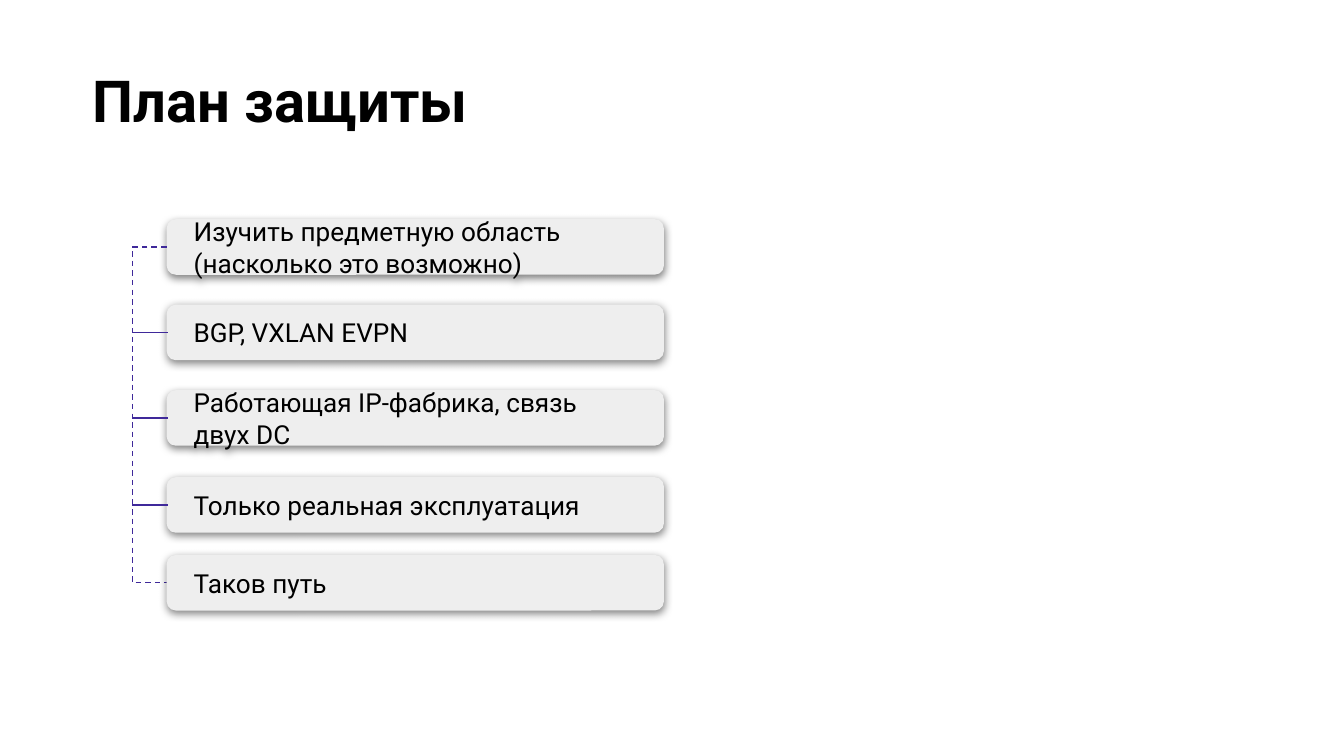
from dataclasses import dataclass
from itertools import pairwise

from lxml import etree
from pptx import Presentation
from pptx.dml.color import RGBColor
from pptx.enum import dml, shapes, text
from pptx.oxml import ns
from pptx.util import Pt

FONT = "Roboto"
BLACK = "000000"
CARD_FILL = "EEEEEE"
LINK_COLOR = "3F299A"
CARD_LEFT, CARD_WIDTH, CARD_HEIGHT = 89.3, 266.4, 29.8
LINK_WIDTH, LINK_REACH = 0.75, 18.75


@dataclass(frozen=True)
class Step:
    top: float
    label: str

    @property
    def middle(self) -> float:
        return self.top + CARD_HEIGHT / 2


STEPS = [
    Step(117.4, "Изучить предметную область (насколько это возможно)"),
    Step(163.2, "BGP, VXLAN EVPN"),
    Step(209, "Работающая IP-фабрика, связь двух DC"),
    Step(255.6, "Только реальная эксплуатация"),
    Step(297.3, "Таков путь"),
]


def color(value: str) -> RGBColor:
    return RGBColor.from_string(value)


def write(shape, content: str, size: float, side: float, anchor, bold: bool = False) -> None:
    frame = shape.text_frame
    frame.word_wrap = True
    frame.vertical_anchor = anchor
    frame.margin_left = frame.margin_right = Pt(side)
    frame.margin_top = frame.margin_bottom = Pt(7.2)
    frame.text = content
    para = frame.paragraphs[0]
    para.alignment = text.PP_ALIGN.LEFT
    para.font.name = FONT
    para.font.size = Pt(size)
    para.font.bold = bold
    para.font.color.rgb = color(BLACK)


def add_shadow(shape) -> None:
    shape.shadow.inherit = False
    effects = shape._element.spPr.find(ns.qn("a:effectLst"))
    shadow = etree.SubElement(
        effects, ns.qn("a:outerShdw"), blurRad=str(Pt(4.5)), dist=str(Pt(1.5)),
        dir="5400000", algn="bl", rotWithShape="0",
    )
    tint = etree.SubElement(shadow, ns.qn("a:srgbClr"), val=BLACK)
    etree.SubElement(tint, ns.qn("a:alpha"), val="50000")


def add_card(page, step: Step) -> None:
    card = page.shapes.add_shape(
        shapes.MSO_SHAPE.ROUNDED_RECTANGLE,
        Pt(CARD_LEFT), Pt(step.top), Pt(CARD_WIDTH), Pt(CARD_HEIGHT),
    )
    card.fill.solid()
    card.fill.fore_color.rgb = color(CARD_FILL)
    card.line.fill.background()
    add_shadow(card)
    write(card, step.label, 14, 13, text.MSO_ANCHOR.MIDDLE)


def add_link(page, start: Step, end: Step) -> None:
    link = page.shapes.add_connector(
        shapes.MSO_CONNECTOR.ELBOW,
        Pt(CARD_LEFT), Pt(start.middle), Pt(CARD_LEFT + LINK_WIDTH), Pt(end.middle),
    )
    link.line.color.rgb = color(LINK_COLOR)
    link.line.width = Pt(0.75)
    link.line.dash_style = dml.MSO_LINE.DASH
    properties = link._element.spPr
    guides = properties.find(ns.qn("a:prstGeom")).find(ns.qn("a:avLst"))
    bend = round(-LINK_REACH / LINK_WIDTH * 100000)
    etree.SubElement(guides, ns.qn("a:gd"), name="adj1", fmla=f"val {bend}")
    etree.SubElement(properties, ns.qn("a:effectLst"))


def add_title(page, content: str) -> None:
    title = page.shapes.title
    title.left, title.top, title.width, title.height = Pt(42.5), Pt(27.4), Pt(671), Pt(51.8)
    write(title, content, 31, 7.2, text.MSO_ANCHOR.TOP, bold=True)
    title.text_frame.auto_size = text.MSO_AUTO_SIZE.SHAPE_TO_FIT_TEXT


def main() -> None:
    deck = Presentation()
    deck.slide_width, deck.slide_height = Pt(720), Pt(405)
    page = deck.slides.add_slide(deck.slide_layouts.get_by_name("Title Only"))
    add_title(page, "План защиты")
    for step in STEPS[:-1]:
        add_card(page, step)
    for start, end in pairwise(STEPS):
        add_link(page, start, end)
    add_card(page, STEPS[-1])
    deck.save("out.pptx")


if __name__ == "__main__":
    main()
